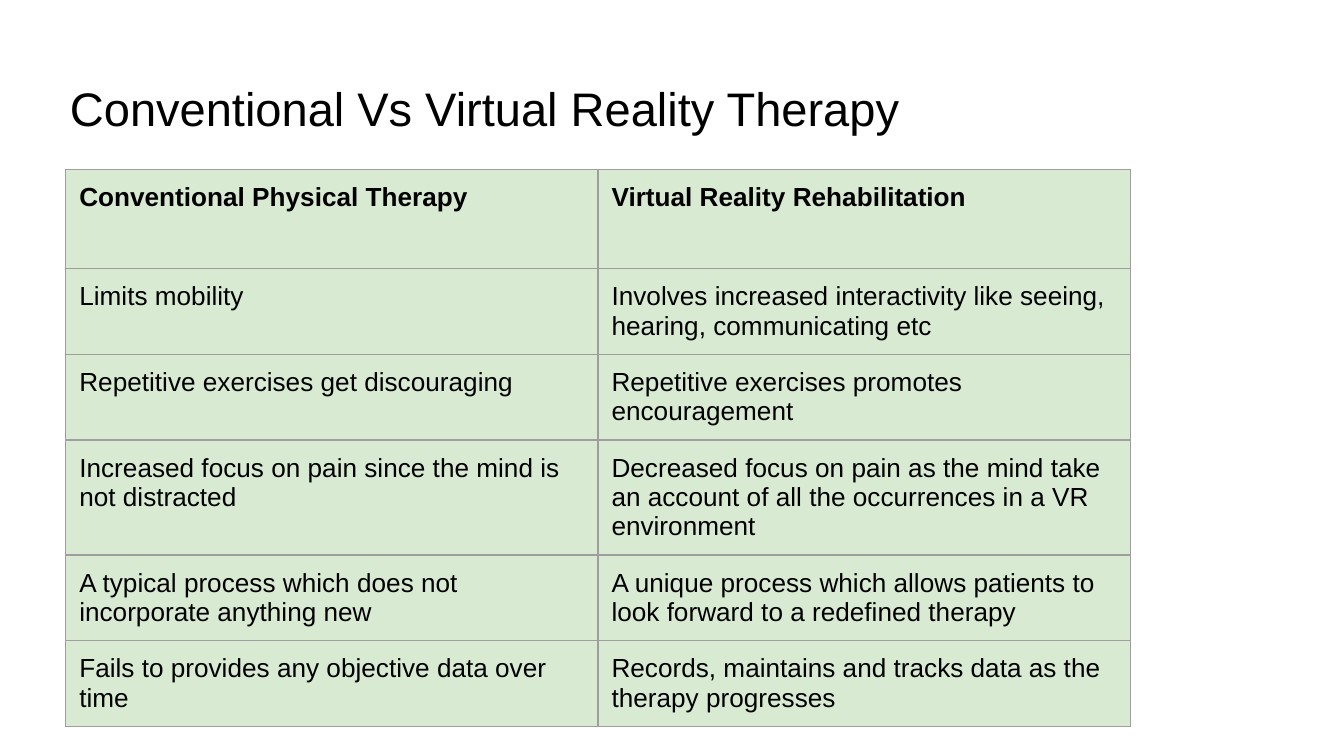
from lxml.etree import SubElement
from pptx import Presentation
from pptx.dml.color import RGBColor
from pptx.enum.text import MSO_ANCHOR, MSO_AUTO_SIZE, PP_ALIGN
from pptx.oxml.ns import qn
from pptx.util import Inches, Pt

COLORS = {"text": "000000", "cell": "D9EAD3", "border": "9E9E9E"}
FONT = "Arial"
WIDTH = Inches(10)
HEIGHT = WIDTH * 9 // 16
PAD = Inches(0.1)
LEFT, TOP = 0.49, 1.26
COL, HEAD, ROW = 3.96, 0.74, 0.42

TITLE = "Conventional Vs Virtual Reality Therapy"
ROWS = [
    ("Conventional Physical Therapy", "Virtual Reality Rehabilitation"),
    ("Limits mobility",
     "Involves increased interactivity like seeing, hearing, communicating etc"),
    ("Repetitive exercises get discouraging",
     "Repetitive exercises promotes encouragement"),
    ("Increased focus on pain since the mind is not distracted",
     "Decreased focus on pain as the mind take an account of all the "
     "occurrences in a VR environment"),
    ("A typical process which does not incorporate anything new",
     "A unique process which allows patients to look forward to a redefined therapy"),
    ("Fails to provides any objective data over time",
     "Records, maintains and tracks data as the therapy progresses"),
]


def color(name):
    return RGBColor.from_string(COLORS[name])


def set_text(frame, text, size, bold=False):
    frame.text = text
    para = frame.paragraphs[0]
    para.alignment = PP_ALIGN.LEFT
    for run in para.runs:
        font = run.font
        font.name, font.size, font.bold = FONT, Pt(size), bold
        font.color.rgb = color("text")


def set_pad(box):
    box.margin_left = box.margin_right = PAD
    box.margin_top = box.margin_bottom = PAD


def add_title(slide):
    title = slide.shapes.title
    title.left, title.top = Inches(0.42), Inches(0.49)
    title.width, title.height = Inches(9.24), Inches(0.63)
    frame = title.text_frame
    frame.word_wrap = True
    frame.auto_size = MSO_AUTO_SIZE.NONE
    frame.vertical_anchor = MSO_ANCHOR.MIDDLE
    set_pad(frame)
    set_text(frame, TITLE, 25.2)


def set_border(cell):
    """Draw the four sides; the lines must precede the fill in the XML."""
    props = cell._tc.get_or_add_tcPr()
    for index, side in enumerate(("a:lnL", "a:lnR", "a:lnT", "a:lnB")):
        line = SubElement(props, qn(side), w=str(Pt(0.75)))
        props.insert(index, line)
        fill = SubElement(line, qn("a:solidFill"))
        SubElement(fill, qn("a:srgbClr"), val=COLORS["border"])


def set_cell(cell, text, bold):
    set_text(cell.text_frame, text, 14, bold)
    set_pad(cell)
    cell.vertical_anchor = MSO_ANCHOR.TOP
    cell.fill.solid()
    cell.fill.fore_color.rgb = color("cell")
    set_border(cell)


def add_grid(slide):
    count, cols = len(ROWS), len(ROWS[0])
    table = slide.shapes.add_table(
        count, cols, Inches(LEFT), Inches(TOP),
        Inches(cols * COL), Inches(HEAD + (count - 1) * ROW)).table
    for col in table.columns:
        col.width = Inches(COL)
    for r, texts in enumerate(ROWS):
        table.rows[r].height = Inches(ROW if r else HEAD)
        for c, text in enumerate(texts):
            set_cell(table.cell(r, c), text, bold=r == 0)


def main():
    deck = Presentation()
    deck.slide_width, deck.slide_height = WIDTH, HEIGHT
    slide = deck.slides.add_slide(deck.slide_layouts[5])
    add_title(slide)
    add_grid(slide)
    deck.save("out.pptx")


if __name__ == "__main__":
    main()
